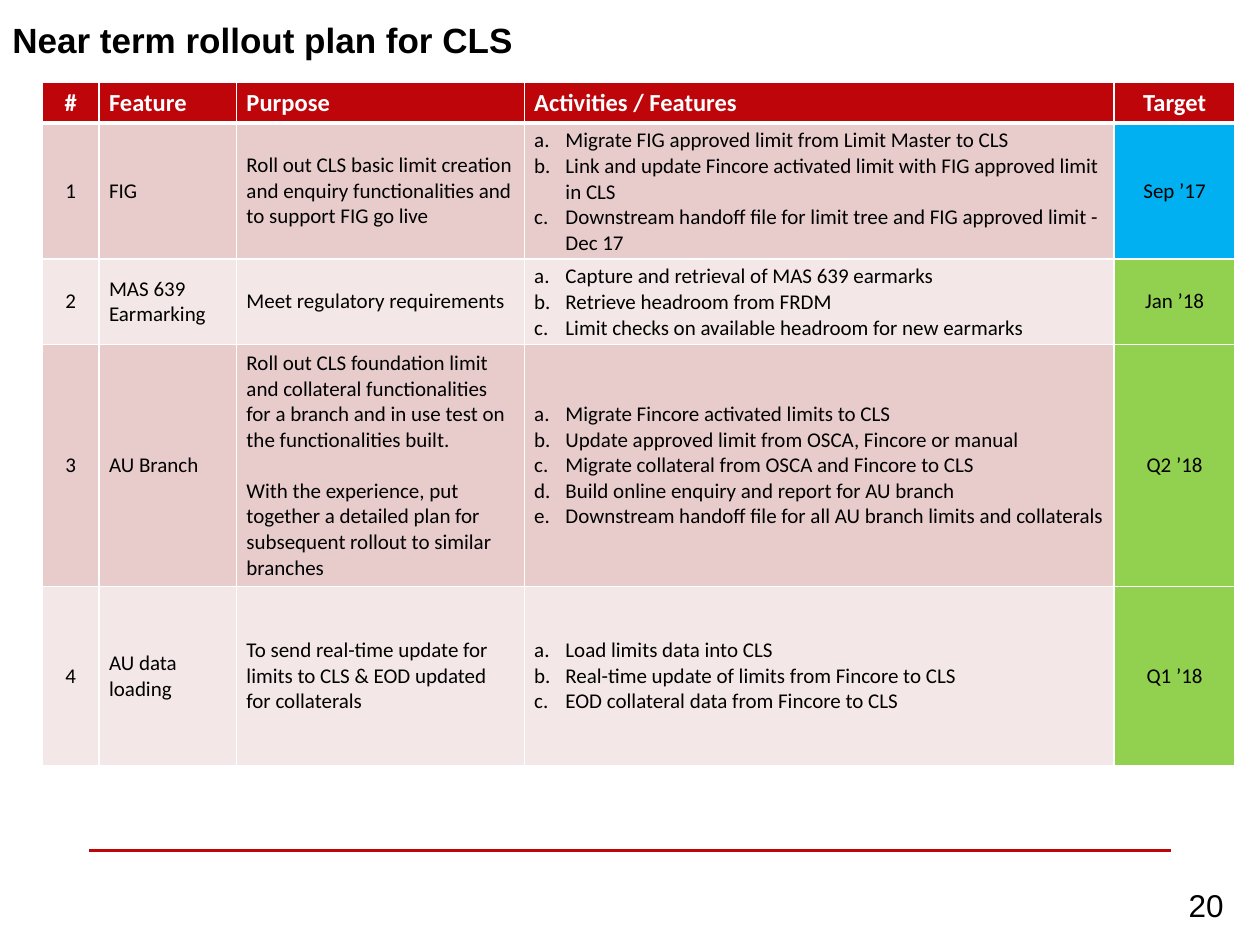
from lxml import etree
from pptx import Presentation
from pptx.dml.color import RGBColor
from pptx.enum.shapes import MSO_CONNECTOR
from pptx.enum.text import MSO_ANCHOR, PP_ALIGN
from pptx.oxml.ns import qn
from pptx.util import Cm, Pt

STRAIGHT = MSO_CONNECTOR.STRAIGHT
MIDDLE = MSO_ANCHOR.MIDDLE
LEFT, CENTER, RIGHT = PP_ALIGN.LEFT, PP_ALIGN.CENTER, PP_ALIGN.RIGHT

BLACK = RGBColor(0x00, 0x00, 0x00)
WHITE = RGBColor(0xFF, 0xFF, 0xFF)
RED = RGBColor(0xBE, 0x05, 0x0A)
DARK_BAND = RGBColor(0xE8, 0xCC, 0xCC)
LIGHT_BAND = RGBColor(0xF4, 0xE7, 0xE7)
BLUE = RGBColor(0x00, 0xB0, 0xF0)
GREEN = RGBColor(0x92, 0xD0, 0x50)

TITLE_FONT = {"name": "Arial", "size": Pt(20), "bold": True}
NUMBER_FONT = {"name": "Arial", "size": Pt(18), "bold": False}
HEADER_FONT = {"name": "Calibri", "size": Pt(14), "bold": True}
BODY_FONT = {"name": "Calibri", "size": Pt(12), "bold": False}
CELL_FORMAT = {
    "vertical_anchor": MIDDLE,
    "margin_left": Cm(0.2),
    "margin_right": Cm(0.2),
    "margin_top": Cm(0.1),
    "margin_bottom": Cm(0.1),
}

COLUMN_WIDTHS = [1.15, 2.77, 5.8, 11.89, 2.44]
ROW_HEIGHTS = [0.82, 2.31, 1.47, 4.88, 3.61]
ALIGNMENTS = [CENTER, LEFT, LEFT, LEFT, CENTER]
ACTIVITIES_COLUMN = 3
PARAGRAPH_GAP = Pt(14.6)

HEADERS = ["#", "Feature", "Purpose", "Activities / Features", "Target"]
PLAN = [
    ("FIG",
     ["Roll out CLS basic limit creation and enquiry functionalities and to support FIG go live"],
     ["Migrate FIG approved limit from Limit Master to CLS",
      "Link and update Fincore activated limit with FIG approved limit in CLS",
      "Downstream handoff file for limit tree and FIG approved limit - Dec 17"],
     "Sep ’17", BLUE),
    ("MAS 639 Earmarking",
     ["Meet regulatory requirements"],
     ["Capture and retrieval of MAS 639 earmarks",
      "Retrieve headroom from FRDM",
      "Limit checks on available headroom for new earmarks"],
     "Jan ’18", GREEN),
    ("AU Branch",
     ["Roll out CLS foundation limit and collateral functionalities for a branch "
      "and in use test on the functionalities built.",
      "With the experience, put together a detailed plan for subsequent rollout to similar branches"],
     ["Migrate Fincore activated limits to CLS",
      "Update approved limit from OSCA, Fincore or manual",
      "Migrate collateral from OSCA and Fincore to CLS",
      "Build online enquiry and report for AU branch",
      "Downstream handoff file for all AU branch limits and collaterals"],
     "Q2 ’18", GREEN),
    ("AU data loading",
     ["To send real-time update for limits to CLS & EOD updated for collaterals"],
     ["Load limits data into CLS",
      "Real-time update of limits from Fincore to CLS",
      "EOD collateral data from Fincore to CLS"],
     "Q1 ’18", GREEN),
]


def apply_format(target, values):
    """Set each attribute of the target from a dict."""
    for name, value in values.items():
        setattr(target, name, value)


def write_paragraphs(text_frame, texts, font, color, alignment):
    """Fill a text frame with one formatted paragraph per text."""
    for index, text in enumerate(texts):
        paragraph = text_frame.add_paragraph() if index else text_frame.paragraphs[0]
        paragraph.alignment = alignment
        run = paragraph.add_run()
        run.text = text
        apply_format(run.font, font)
        run.font.color.rgb = color


def add_label(slide, box, text, font, alignment, wrap):
    """Place a vertically centred text box in the given box."""
    shape = slide.shapes.add_textbox(*map(Cm, box))
    apply_format(shape.text_frame, {"word_wrap": wrap, "vertical_anchor": MIDDLE})
    write_paragraphs(shape.text_frame, [text], font, BLACK, alignment)


def add_footer(slide, left, top, width):
    """Draw the footer rule and the page number below it."""
    line = slide.shapes.add_connector(STRAIGHT, Cm(left), Cm(top), Cm(left + width), Cm(top))
    line.line.color.rgb = RED
    line.line.width = Pt(1.5)
    etree.SubElement(line._element.spPr, qn("a:effectLst"))
    add_label(slide, (left + 20.15, top + 0.55, 2.97, 1.07), "20", NUMBER_FONT, RIGHT, False)


def add_borders(cell, widths):
    """Give a cell white borders, with widths in points by side."""
    properties = cell._tc.get_or_add_tcPr()
    for side, width in widths.items():
        border = etree.SubElement(properties, qn(f"a:ln{side}"), w=str(Pt(width)))
        fill = etree.SubElement(border, qn("a:solidFill"))
        etree.SubElement(fill, qn("a:srgbClr"), val=str(WHITE))


def add_lettering(paragraph):
    """Number a paragraph a., b., c. with a hanging indent."""
    properties = paragraph._p.get_or_add_pPr()
    properties.set("marL", str(Cm(0.63)))
    properties.set("indent", str(-Cm(0.63)))
    etree.SubElement(properties, qn("a:buFont"), typeface="+mj-lt")
    etree.SubElement(properties, qn("a:buAutoNum"), type="alphaLcPeriod")


def fill_cell(cell, texts, fill, font, color, alignment, borders):
    """Write and format one table cell."""
    apply_format(cell, CELL_FORMAT)
    add_borders(cell, borders)
    cell.fill.solid()
    cell.fill.fore_color.rgb = fill
    write_paragraphs(cell.text_frame, texts, font, color, alignment)


def add_plan_table(slide, left, top):
    """Build the rollout table with its corner at the given point."""
    frame = slide.shapes.add_table(
        len(ROW_HEIGHTS), len(COLUMN_WIDTHS), Cm(left), Cm(top),
        Cm(sum(COLUMN_WIDTHS)), Cm(sum(ROW_HEIGHTS)))
    table = frame.table
    for column, width in zip(table.columns, COLUMN_WIDTHS):
        column.width = Cm(width)
    for row, height in zip(table.rows, ROW_HEIGHTS):
        row.height = Cm(height)

    for cell, text, alignment in zip(table.rows[0].cells, HEADERS, ALIGNMENTS):
        borders = {"L": 1, "R": 1, "T": 1, "B": 3}
        fill_cell(cell, [text], RED, HEADER_FONT, WHITE, alignment, borders)

    for number, (feature, purpose, activities, target, target_fill) in enumerate(PLAN, 1):
        band = DARK_BAND if number % 2 else LIGHT_BAND
        fills = [band] * 4 + [target_fill]
        contents = [[str(number)], [feature], purpose, activities, [target]]
        borders = {"L": 1, "R": 1, "T": 3 if number == 1 else 1, "B": 1}
        cells = list(table.rows[number].cells)
        for cell, texts, fill, alignment in zip(cells, contents, fills, ALIGNMENTS):
            fill_cell(cell, texts, fill, BODY_FONT, BLACK, alignment, borders)
            for paragraph in cell.text_frame.paragraphs[:-1]:
                paragraph.space_after = Pt(0) if texts is activities else PARAGRAPH_GAP
        for paragraph in cells[ACTIVITIES_COLUMN].text_frame.paragraphs:
            add_lettering(paragraph)


def main():
    """Build the rollout plan slide and save it."""
    presentation = Presentation()
    presentation.slide_width, presentation.slide_height = Cm(25.4), Cm(19.05)
    slide = presentation.slides.add_slide(presentation.slide_layouts[6])
    add_footer(slide, 1.8, 17.15, 21.8)
    add_plan_table(slide, 0.85, 1.66)
    add_label(slide, (0, 0, 22.05, 1.6), "Near term rollout plan for CLS", TITLE_FONT, LEFT, True)
    presentation.save("out.pptx")


if __name__ == "__main__":
    main()
